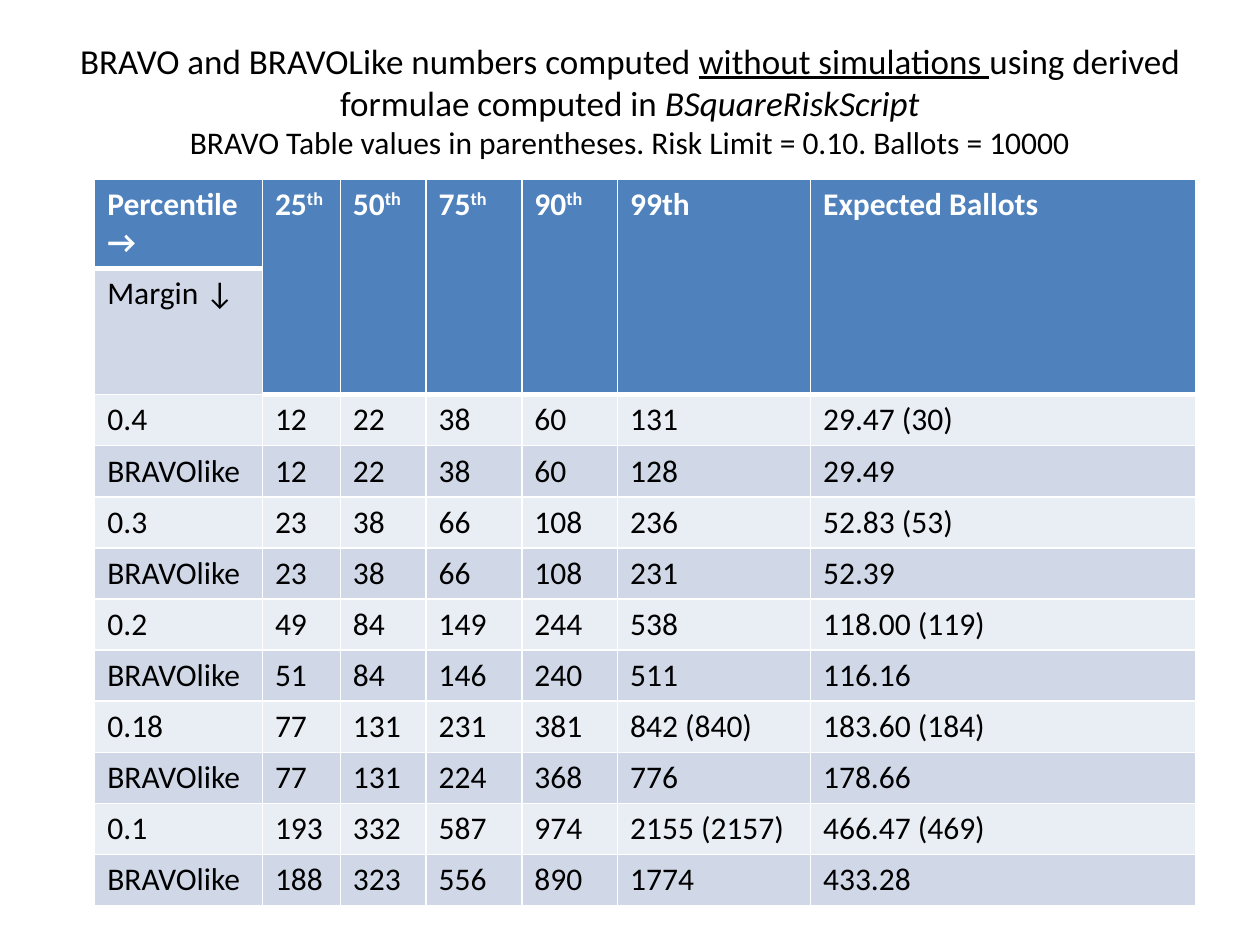
"""Build a slide with a table of BRAVO and BRAVOLike ballot percentiles."""
import lxml.etree
import pptx
import pptx.dml.color
import pptx.enum.text
import pptx.oxml.ns
import pptx.util

Cm, Pt = pptx.util.Cm, pptx.util.Pt
qn = pptx.oxml.ns.qn


def rgb(value):
    return pptx.dml.color.RGBColor.from_string(value)


def add_run(p, text, size=18, color="000000", bold=False):
    r = p.add_run()
    r.text = text
    r.font.name = "Calibri"
    r.font.size = Pt(size)
    r.font.bold = bold
    r.font.color.rgb = rgb(color)
    return r


prs = pptx.Presentation()
prs.slide_width, prs.slide_height = Cm(25.4), Cm(19.05)
s = prs.slides.add_slide(prs.slide_layouts[5])

title = s.shapes.title
title.left, title.top, title.width, title.height = Cm(1.27), Cm(0.43), Cm(22.86), Cm(3.18)
tf = title.text_frame
tf.word_wrap = True
tf.vertical_anchor = pptx.enum.text.MSO_ANCHOR.MIDDLE
p = tf.paragraphs[0]
p.alignment = pptx.enum.text.PP_ALIGN.CENTER
add_run(p, "BRAVO and BRAVOLike numbers computed ", 20)
add_run(p, "without simulations ", 20).font.underline = True
add_run(p, "using derived formulae computed in ", 20)
add_run(p, "BSquareRiskScript", 20).font.italic = True
p.add_line_break()
add_run(p, "BRAVO Table values in parentheses. Risk Limit = 0.10. Ballots = 10000")

headers = [("25", "th"), ("50", "th"), ("75", "th"), ("90", "th"),
           ("99th", ""), ("Expected Ballots", "")]
rows = [
    ["0.4", "12", "22", "38", "60", "131", "29.47 (30)"],
    ["BRAVOlike", "12", "22", "38", "60", "128", "29.49"],
    ["0.3", "23", "38", "66", "108", "236", "52.83 (53)"],
    ["BRAVOlike", "23", "38", "66", "108", "231", "52.39"],
    ["0.2", "49", "84", "149", "244", "538", "118.00 (119)"],
    ["BRAVOlike", "51", "84", "146", "240", "511", "116.16"],
    ["0.18", "77", "131", "231", "381", "842 (840)", "183.60 (184)"],
    ["BRAVOlike", "77", "131", "224", "368", "776", "178.66"],
    ["0.1", "193", "332", "587", "974", "2155 (2157)", "466.47 (469)"],
    ["BRAVOlike", "188", "323", "556", "890", "1774", "433.28"],
]
widths = [3.38, 1.57, 1.73, 1.93, 1.93, 3.89, 7.77]
heights = [1.45, 2.54] + [0.58] * len(rows)

gf = s.shapes.add_table(len(heights), len(widths), Cm(1.91), Cm(3.61), Cm(22.2), Cm(14.48))
tbl = gf.table
for col, width in zip(tbl.columns, widths):
    col.width = Cm(width)
for row, height in zip(tbl.rows, heights):
    row.height = Cm(height)
gf.height = Cm(14.48)

for i in range(len(heights)):
    for j in range(len(widths)):
        cell = tbl.cell(i, j)
        header = i == 0 or (i == 1 and j > 0)
        cell.fill.solid()
        cell.fill.fore_color.rgb = rgb("4F81BD" if header else "D0D8E8" if i % 2 else "E9EDF4")
        tcPr = cell._tc.get_or_add_tcPr()
        for k, side in enumerate(["lnL", "lnR", "lnT", "lnB"]):
            ln = lxml.etree.Element(qn("a:" + side))
            ln.set("w", str(Pt(3 if header and side == "lnB" else 1)))
            fill = lxml.etree.SubElement(ln, qn("a:solidFill"))
            lxml.etree.SubElement(fill, qn("a:srgbClr")).set("val", "FFFFFF")
            tcPr.insert(k, ln)

tf = tbl.cell(0, 0).text_frame
add_run(tf.paragraphs[0], "Percentile", color="FFFFFF", bold=True)
add_run(tf.add_paragraph(), "→", color="FFFFFF", bold=True)
add_run(tbl.cell(1, 0).text_frame.paragraphs[0], "Margin ↓")

for j, (text, suffix) in enumerate(headers, 1):
    tbl.cell(0, j).merge(tbl.cell(1, j))
    p = tbl.cell(0, j).text_frame.paragraphs[0]
    add_run(p, text, color="FFFFFF", bold=True)
    if suffix:
        r = add_run(p, suffix, color="FFFFFF", bold=True)
        r._r.get_or_add_rPr().set("baseline", "30000")

for i, values in enumerate(rows, 2):
    for j, value in enumerate(values):
        add_run(tbl.cell(i, j).text_frame.paragraphs[0], value)

prs.save("out.pptx")
